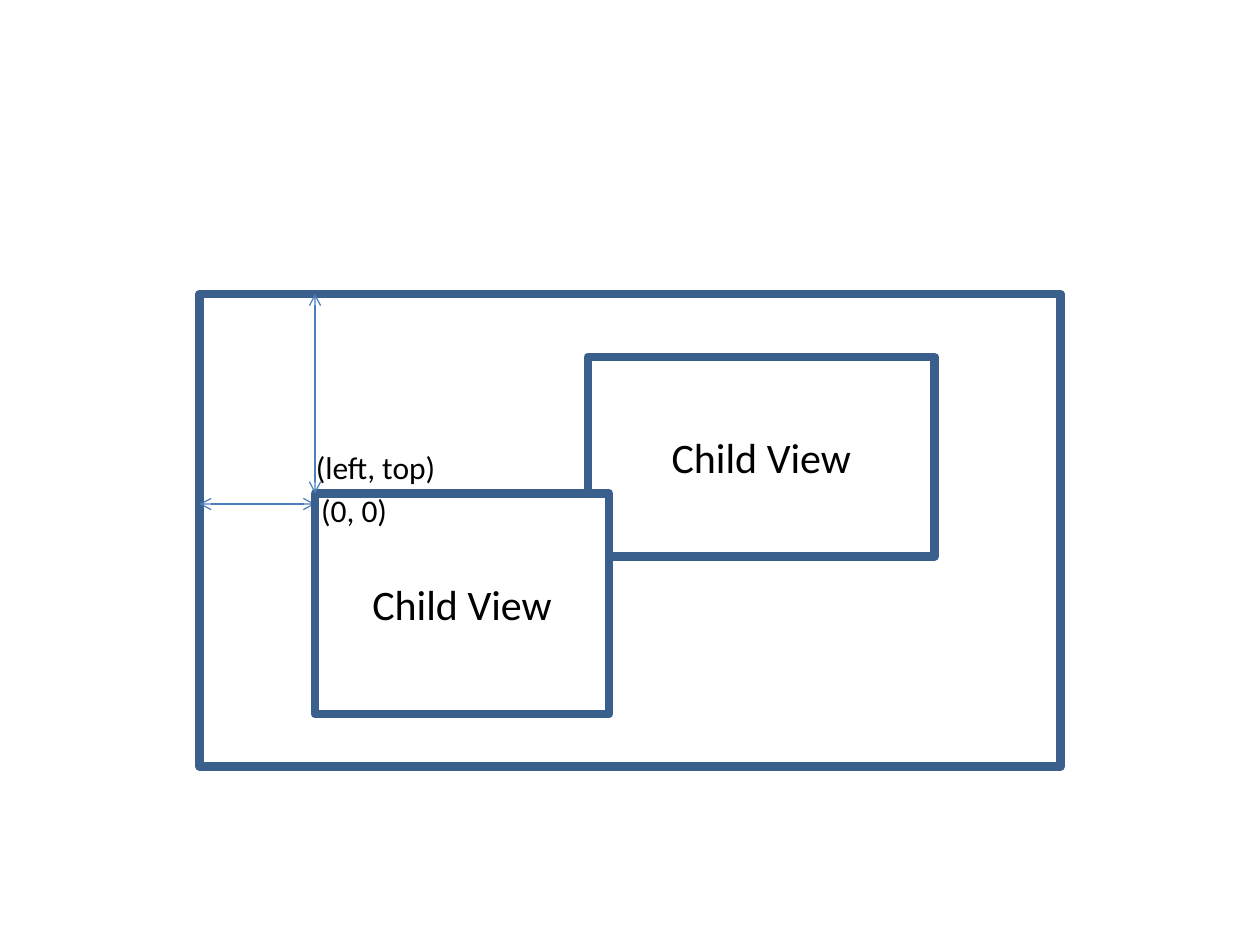
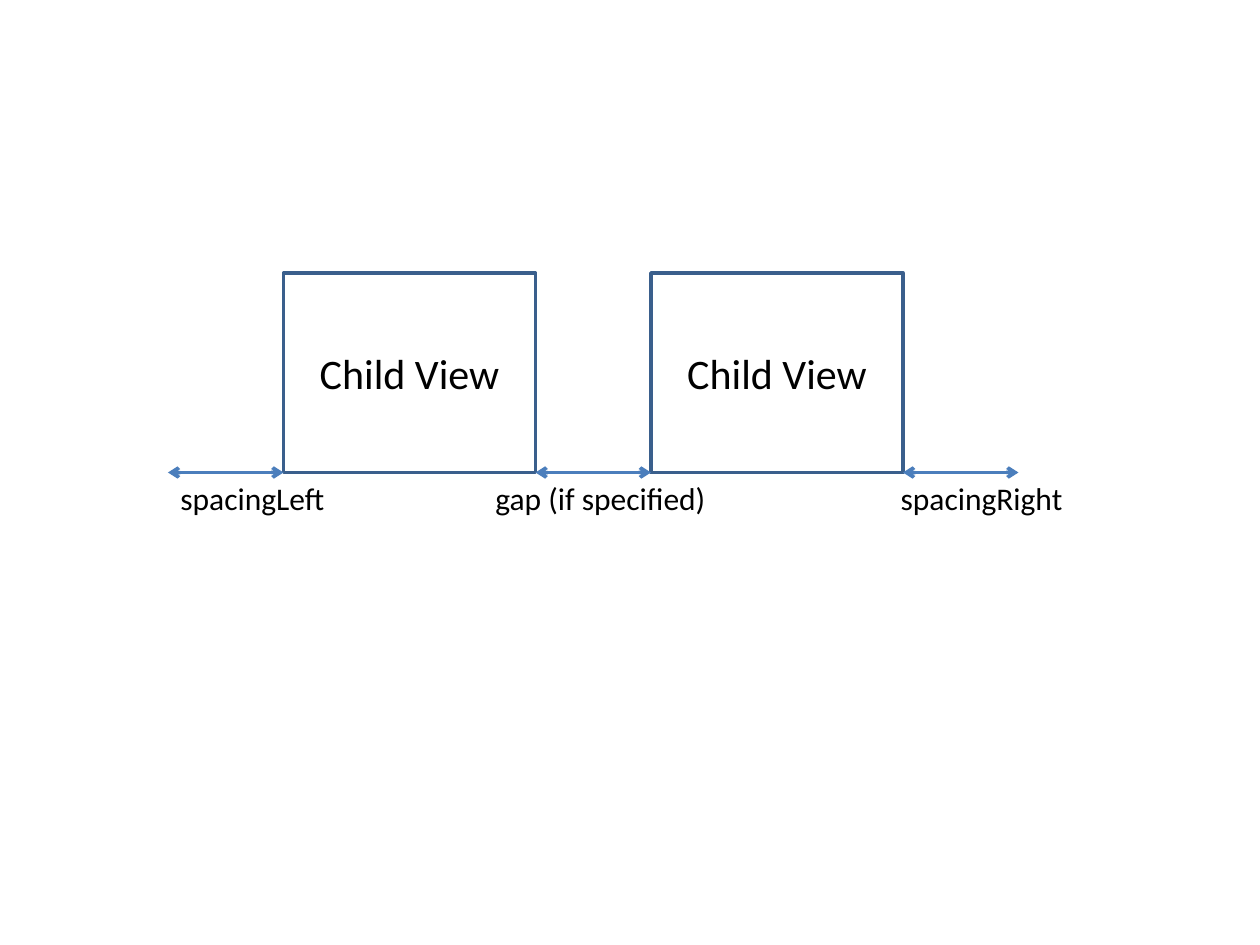
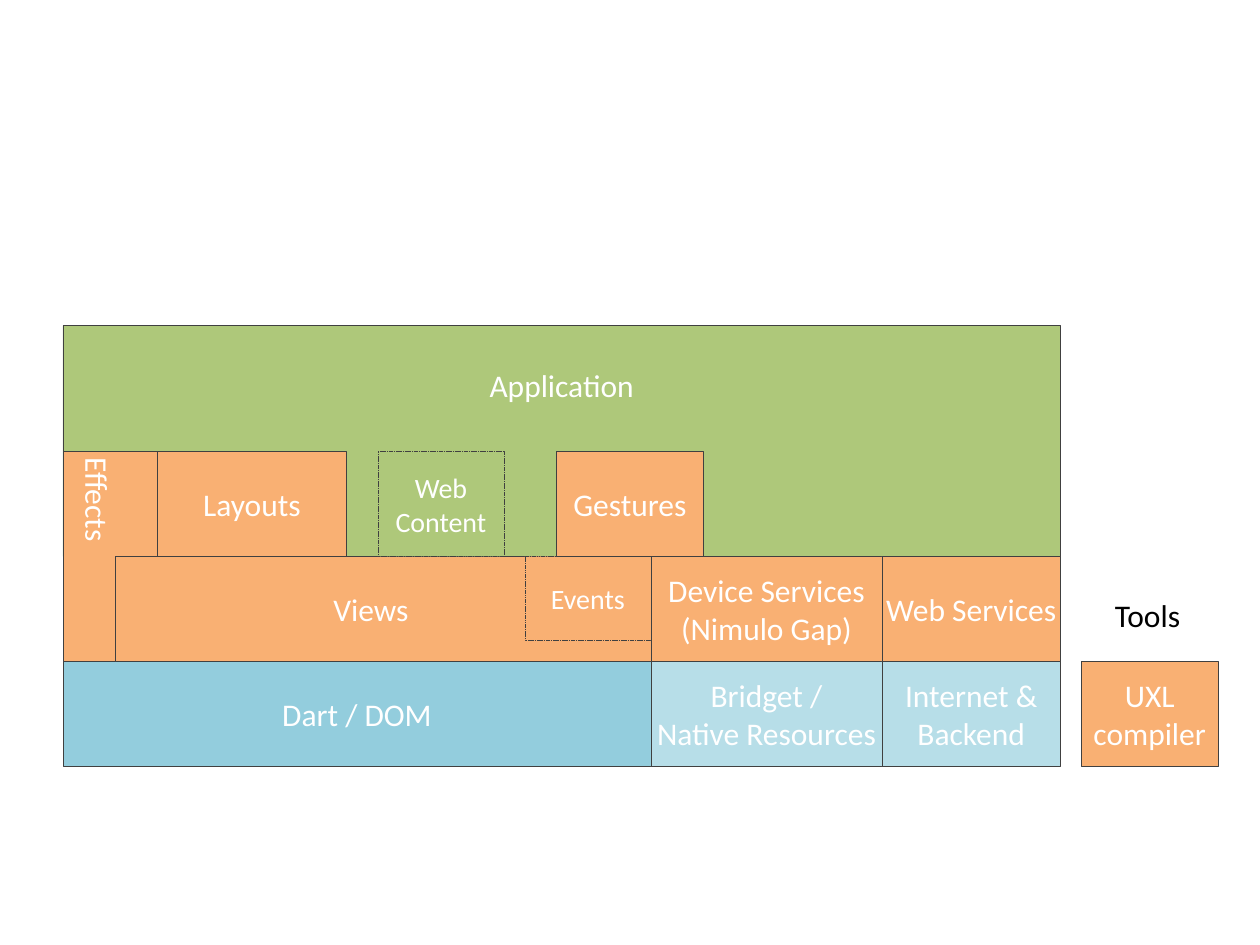
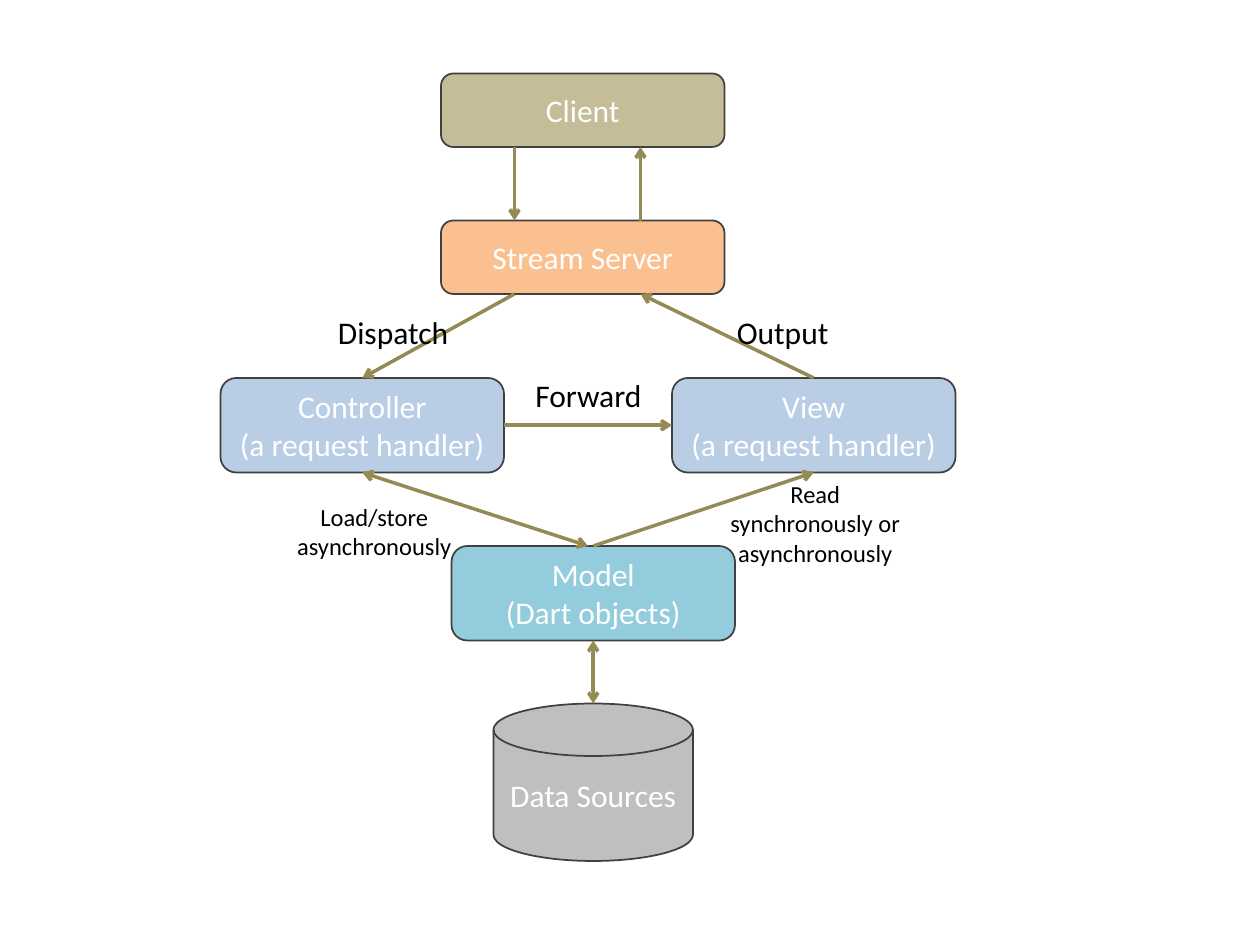
import pptx
import pptx.util
import pptx.dml.color
import pptx.enum.dml
import pptx.enum.shapes
import pptx.enum.text
import pptx.oxml.ns
from lxml import etree

SHAPE = pptx.enum.shapes.MSO_SHAPE
ALIGN = pptx.enum.text.PP_ALIGN
Pt = pptx.util.Pt

# Shared colours
WHITE, BLACK = "FFFFFF", "000000"
NAVY, BLUE = "3A5F8C", "4B7EBC"
GREEN, ORANGE, TEAL, PALE_TEAL = "AEC87A", "F9B073", "93CDDD", "B7DEE8"
TAN, PEACH, PALE_BLUE, GREY = "C4BD97", "FAC090", "B9CDE5", "BFBFBF"
DARK, OLIVE = "404040", "948A54"


def rgb(value):
    return pptx.dml.color.RGBColor.from_string(value)


def grid(n):
    """All places lie on a grid of 12 steps to the inch."""
    return pptx.util.Cm(n * 2.54 / 12)


class Deck:
    font = "Calibri"

    def __init__(self):
        self.prs = pptx.Presentation()
        self.prs.slide_width = grid(120)
        self.prs.slide_height = grid(90)
        self.slide = None

    def new_slide(self):
        self.slide = self.prs.slides.add_slide(self.prs.slide_layouts[6])

    def set_text(self, tf, text, size, color, align):
        p = tf.paragraphs[0]
        p.text = text
        p.alignment = align
        p.font.size = Pt(size)
        p.font.name = self.font
        p.font.color.rgb = rgb(color)

    def box(self, place, text="", fill=WHITE, line=NAVY, width=5, size=24,
            color=BLACK, kind=SHAPE.RECTANGLE, insets=None, dashed=False, vertical=False):
        """Draw a filled shape; insets are left, top, right, bottom in cm."""
        sp = self.slide.shapes.add_shape(kind, *map(grid, place))
        sp.shadow.inherit = False
        sp.fill.solid()
        sp.fill.fore_color.rgb = rgb(fill)
        sp.line.color.rgb = rgb(line)
        sp.line.width = Pt(width)
        if dashed:
            sp.line.dash_style = pptx.enum.dml.MSO_LINE.SQUARE_DOT
        if not text:
            return
        tf = sp.text_frame
        tf.word_wrap = True
        tf.vertical_anchor = pptx.enum.text.MSO_ANCHOR.MIDDLE
        if insets:
            (tf.margin_left, tf.margin_top,
             tf.margin_right, tf.margin_bottom) = map(pptx.util.Cm, insets)
        if vertical:
            tf._txBody.bodyPr.set("vert", "eaVert")
        self.set_text(tf, text, size, color, ALIGN.CENTER)

    def label(self, place, text, size=18, align=ALIGN.LEFT):
        sp = self.slide.shapes.add_textbox(*map(grid, place))
        tf = sp.text_frame
        tf.word_wrap = False
        tf.auto_size = pptx.enum.text.MSO_AUTO_SIZE.SHAPE_TO_FIT_TEXT
        self.set_text(tf, text, size, BLACK, align)

    def arrow(self, x1, y1, x2, y2, color=BLUE, width=2, both=True):
        cn = self.slide.shapes.add_connector(
            pptx.enum.shapes.MSO_CONNECTOR.STRAIGHT, *map(grid, (x1, y1, x2, y2)))
        cn.line.color.rgb = rgb(color)
        cn.line.width = Pt(width)
        qn = pptx.oxml.ns.qn
        ln = cn.line._get_or_add_ln()
        for end in ("a:headEnd", "a:tailEnd") if both else ("a:tailEnd",):
            etree.SubElement(ln, qn(end), type="arrow")
        etree.SubElement(cn._element.spPr, qn("a:effectLst"))


deck = Deck()

# Slide 1: position of a child view inside its parent
deck.new_slide()
deck.box((19, 28, 82, 45))
deck.box((56, 34, 33, 19), "Child View")
deck.arrow(19, 48, 30, 48, width=0.75)
deck.label((28.9, 42.1, 14, 4.8), "(left, top)")
deck.box((30, 47, 28, 21), "Child View")
deck.arrow(30, 28, 30, 47, width=0.75)
deck.label((29.4, 46.2, 8.8, 4.8), "(0, 0)")

# Slide 2: spacing and gap between child views
deck.new_slide()
child, gap, base = 24, 11, 45
for i in range(2):
    deck.box((27 + i * (child + gap), 26, child, 19), "Child View", width=2)
for i in range(3):
    x = 16 + i * (child + gap)
    deck.arrow(x, base, x + gap, base)
for x, w, text in ((16, 16.3, "spacingLeft"), (46, 22.7, "gap (if specified)"),
                   (84.6, 18, "spacingRight")):
    deck.label((x, base, w, 4.8), text)

# Slide 3: architecture layers
deck.new_slide()
TIGHT = (0, 0.13, 0, 0.13)
RIGHT_GAP = (0, 0.13, 0.5, 0.13)
RAISED = (0.25, 0.13, 0.25, 2.4)
UPPER, MIDDLE, LOWER, ROW = 43, 53, 63, 10
layers = [
    ((6, 31, 95, 22), "Application", GREEN, {"insets": RAISED}),
    ((6, UPPER, 9, 2 * ROW), "Effects", ORANGE, {"insets": RIGHT_GAP, "vertical": True}),
    ((6, LOWER, 56, ROW), "Dart / DOM", TEAL, {}),
    ((62, LOWER, 22, ROW), "Bridget /\nNative Resources", PALE_TEAL, {}),
    ((11, MIDDLE, 51, ROW), "Views", ORANGE, {"insets": RIGHT_GAP}),
    ((50, MIDDLE, 12, 8), "Events", ORANGE, {"size": 16, "dashed": True}),
    ((62, MIDDLE, 22, ROW), "Device Services\n(Nimulo Gap)", ORANGE, {}),
    ((15, UPPER, 18, ROW), "Layouts", ORANGE, {}),
    ((36, UPPER, 12, ROW), "Web Content", GREEN, {"size": 16, "dashed": True}),
    ((53, UPPER, 14, ROW), "Gestures", ORANGE, {}),
    ((84, MIDDLE, 17, ROW), "Web Services", ORANGE, {}),
    ((84, LOWER, 17, ROW), "Internet &\nBackend", PALE_TEAL, {}),
    ((103, LOWER, 13, ROW), "UXL\ncompiler", ORANGE, {}),
]
layer_style = {"line": DARK, "width": 0.25, "size": 18, "color": WHITE, "insets": TIGHT}
for place, text, fill, extra in layers:
    deck.box(place, text, fill, **{**layer_style, **extra})
deck.label((105, 56.2, 8.6, 4.8), "Tools")

# Slide 4: request flow between client, server, controller, view and model
deck.new_slide()
rounded = SHAPE.ROUNDED_RECTANGLE
for place, text, fill, kind in (
        ((42, 7, 27, 7), "Client", TAN, rounded),
        ((42, 21, 27, 7), "Stream Server", PEACH, rounded),
        ((21, 36, 27, 9), "Controller\n(a request handler)", PALE_BLUE, rounded),
        ((64, 36, 27, 9), "View\n(a request handler)", PALE_BLUE, rounded),
        ((43, 52, 27, 9), "Model\n(Dart objects)", TEAL, rounded),
        ((47, 67, 19, 15), "Data Sources", GREY, SHAPE.FLOWCHART_MAGNETIC_DISK)):
    deck.box(place, text, fill, DARK, 1, 18, WHITE, kind)

for ends, both in (
        ((49, 14, 49, 21), False),
        ((49, 28, 34.5, 36), False),
        ((56.5, 61, 56.5, 67), True),
        ((34.5, 45, 56, 52), True),
        ((56.5, 52, 77.5, 45), False),
        ((77.5, 36, 61, 28), False),
        ((61, 21, 61, 14), False),
        ((48, 40.5, 64, 40.5), False)):
    deck.arrow(*ends, color=OLIVE, both=both)

deck.label((31, 29.2, 13.1, 4.8), "Dispatch")
deck.label((69, 29.2, 11.3, 4.8), "Output")
deck.label((49.8, 35.2, 12.6, 4.8), "Forward")
deck.label((27, 47.2, 17.3, 6.8), "Load/store\nasynchronously", 14, ALIGN.CENTER)
deck.label((68.3, 45, 18.7, 9.7), "Read\nsynchronously or\nasynchronously", 14, ALIGN.CENTER)

deck.prs.save("out.pptx")
